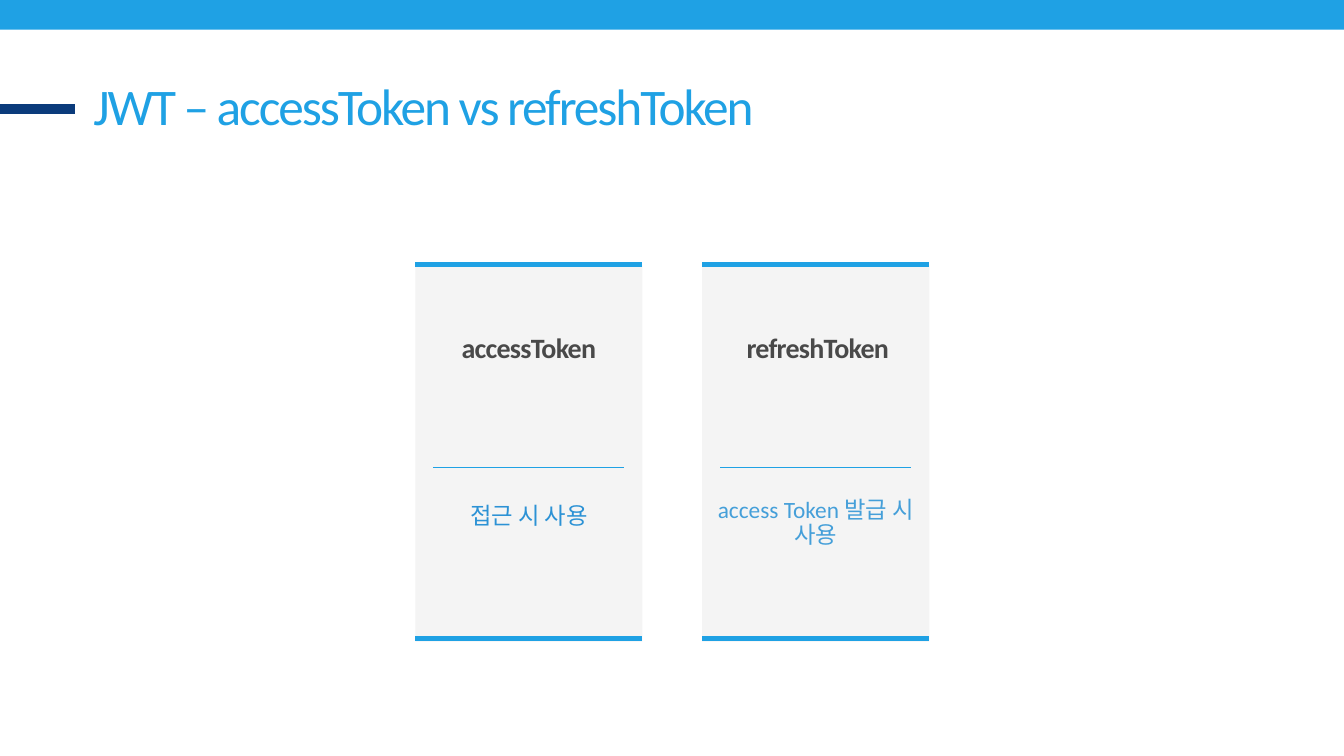
from pptx import Presentation
from pptx.dml.color import RGBColor
from pptx.enum.shapes import MSO_CONNECTOR as CONN, MSO_SHAPE as SHAPE
from pptx.enum.text import MSO_AUTO_SIZE as AUTO, PP_ALIGN as ALIGN
from pptx.oxml.ns import qn
from pptx.util import Inches, Pt
from lxml import etree

BLUE, NAVY, PANEL, DARK = "1FA1E4", "0B3B7B", "F4F4F4", "494949"


def rgb(color):
    return RGBColor.from_string(color)


def add_rect(slide, x, y, w, h, color):
    s = slide.shapes.add_shape(SHAPE.RECTANGLE, Inches(x), Inches(y), Inches(w), Inches(h))
    s.shadow.inherit = False
    s.fill.solid()
    s.fill.fore_color.rgb = rgb(color)
    s.line.fill.background()


def add_rule(slide, x, y, w, color, weight):
    """Horizontal line of width w starting at x, y."""
    s = slide.shapes.add_connector(CONN.STRAIGHT, Inches(x), Inches(y), Inches(x + w), Inches(y))
    s.line.color.rgb = rgb(color)
    s.line.width = Pt(weight)
    etree.SubElement(s._element.spPr, qn("a:effectLst"))


def add_text(slide, x, y, w, h, text, size, color, leading,
             align=ALIGN.LEFT, bold=False, tracking=0):
    s = slide.shapes.add_textbox(Inches(x), Inches(y), Inches(w), Inches(h))
    tf = s.text_frame
    tf.word_wrap = True
    tf.auto_size = AUTO.SHAPE_TO_FIT_TEXT
    tf.margin_left = tf.margin_right = tf.margin_top = tf.margin_bottom = 0
    p = tf.paragraphs[0]
    p.text = text
    p.alignment = align
    p.line_spacing = Pt(leading)
    r = p.runs[0]
    r.font.name = "Calibri"
    r.font.size = Pt(size)
    r.font.bold = bold
    r.font.color.rgb = rgb(color)
    if tracking:
        r._r.get_or_add_rPr().set("spc", str(round(tracking * 100)))


def add_header(slide, x, y, w, h, title):
    # Top band, accent dash and title
    add_rect(slide, x, y, w, h, BLUE)
    add_rule(slide, x - 0.22, y + 1.75, 1.46, NAVY, 11.25)
    add_text(slide, x + 1.51, y + 1.24, 15.36, 0.93, title, 55, BLUE, 66, tracking=-2.2)


def add_card(slide, x, y, w, h, name, usage, usage_color, usage_top, usage_height, name_shift):
    # Panel with top and bottom edges
    add_rect(slide, x, y, w, h, PANEL)
    for edge in (y, y + h - 0.05):
        add_rule(slide, x, edge, w, BLUE, 5)
    # Token name, divider and usage
    add_text(slide, x + name_shift, y + 0.93, w, 0.53, name, 30, DARK, 40,
             ALIGN.CENTER, bold=True, tracking=-0.8)
    add_text(slide, x, y + usage_top, w, usage_height, usage, 25, usage_color, 27, ALIGN.CENTER)
    add_rule(slide, x + 0.27, y + 3.02, w - 0.54, BLUE, 1.5)


def main():
    prs = Presentation()
    prs.slide_width, prs.slide_height = Inches(20), Inches(11.25)
    slide = prs.slides.add_slide(prs.slide_layouts[6])

    add_header(slide, -0.12, -0.13, 20.24, 0.57, "JWT – accessToken vs refreshToken")

    cards = [
        ("accessToken", "접근 시 사용", "2C92D5", 3.56, 0.38, 0),
        ("refreshToken", "access Token 발급 시 사용", "459FD9", 3.47, 0.76, 0.03),
    ]
    for i, card in enumerate(cards):
        add_card(slide, 6.18 + i * 4.27, 3.94, 3.38, 5.61, *card)

    prs.save("out.pptx")


if __name__ == "__main__":
    main()
